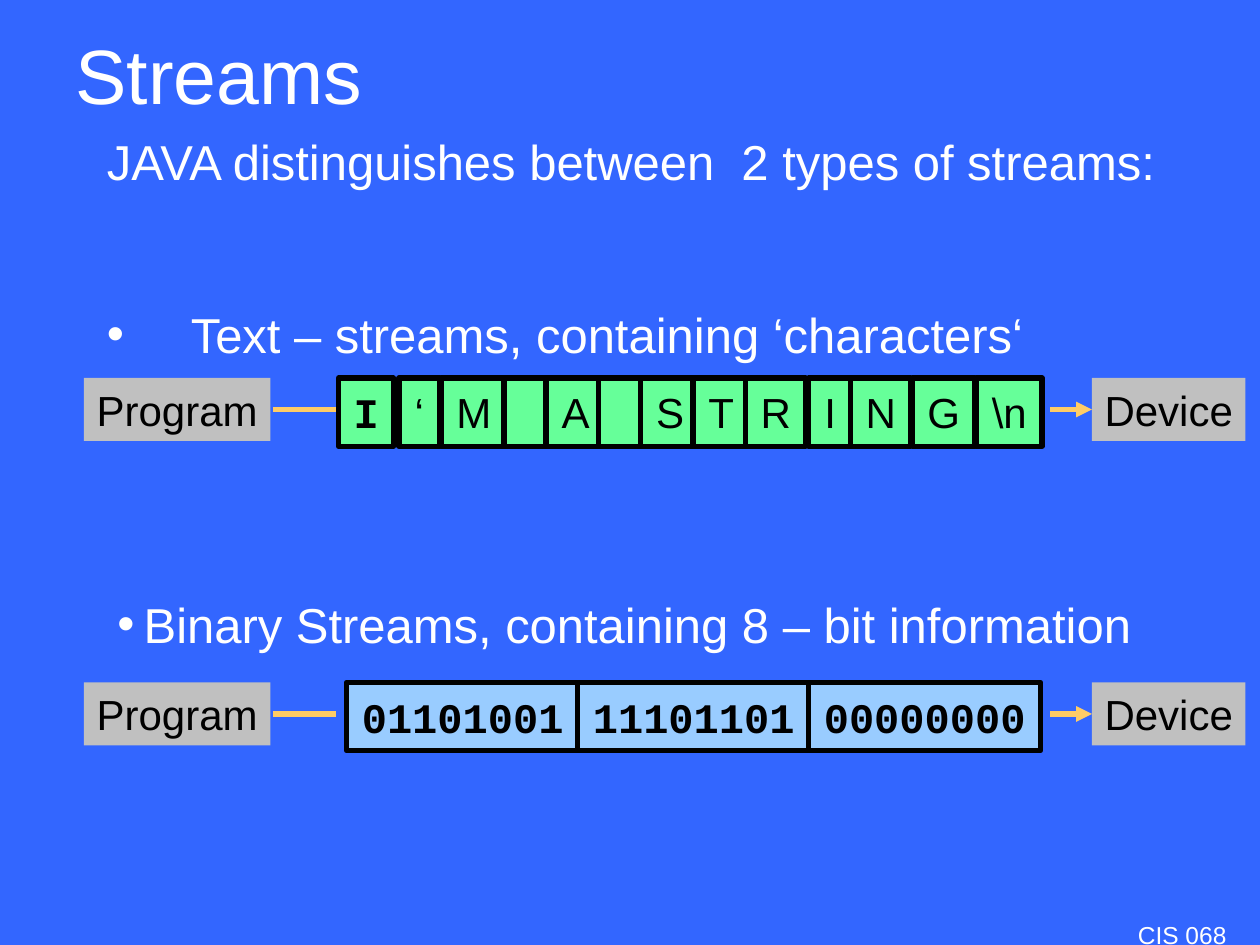
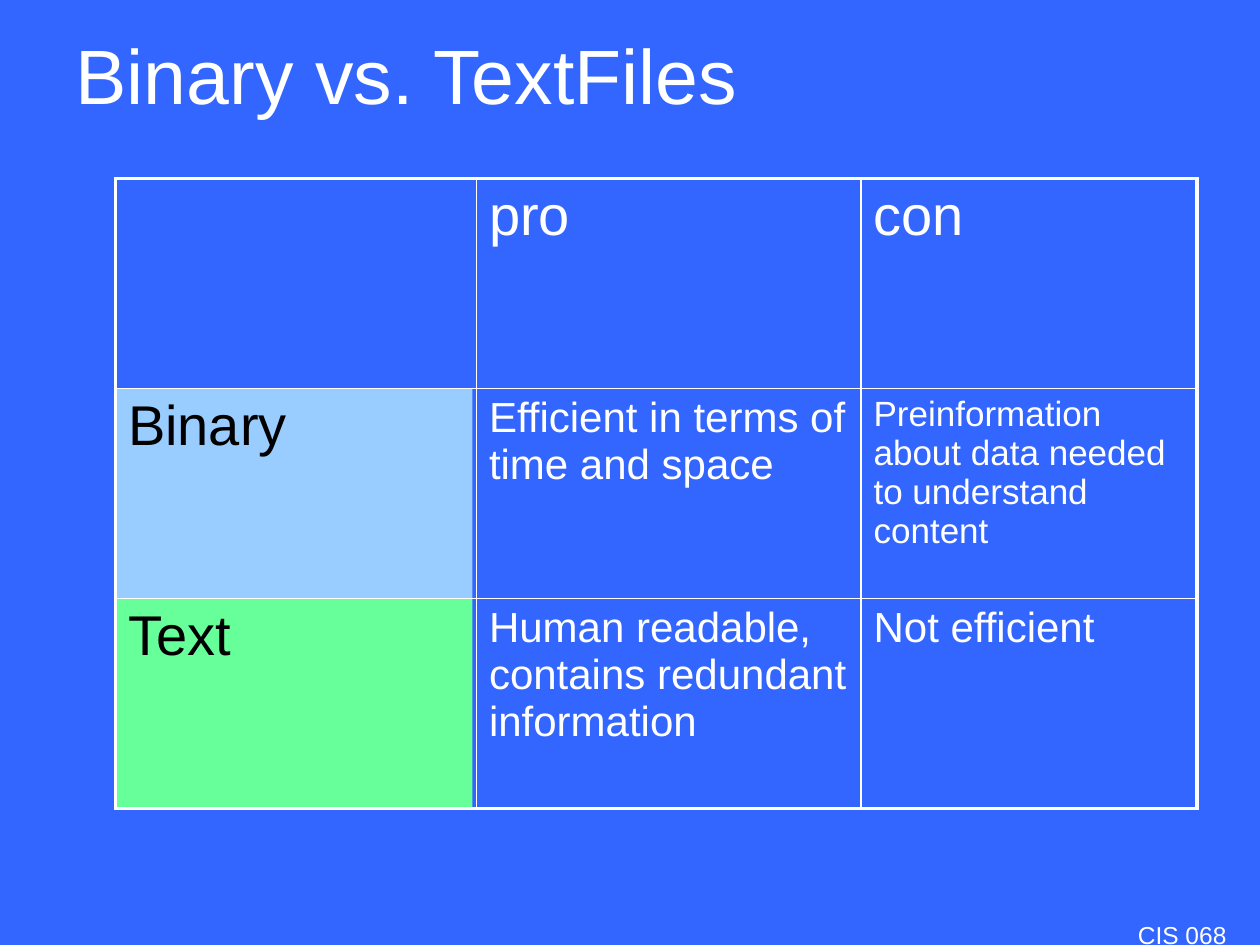
from lxml import etree
from pptx import Presentation
from pptx.dml.color import RGBColor
from pptx.enum import shapes, text
from pptx.oxml import ns
from pptx.util import Pt

PX = 9525  # EMU per px, 96 px to the inch
BLUE, WHITE, BLACK, GRAY = "3366FF", "FFFFFF", "000000", "C0C0C0"
GREEN, SKY, GOLD = "66FF99", "99CCFF", "FFCC66"
LEFT, CENTER, RIGHT = text.PP_ALIGN.LEFT, text.PP_ALIGN.CENTER, text.PP_ALIGN.RIGHT
MONO = {"name": "Courier New", "bold": True}
rgb = RGBColor.from_string


def write(p, words, size, color, font=None, **para):
    """Add one run to a paragraph and set its font and paragraph formats."""
    r = p.add_run()
    r.text = words
    for key, value in {"name": "Arial", "size": Pt(size), **(font or {})}.items():
        setattr(r.font, key, value)
    r.font.color.rgb = rgb(color)
    for key, value in para.items():
        setattr(p, key, value)


def box(s, rect, fill, words="", outlined=False, font=None):
    """Draw a filled rectangle with an optional centred label."""
    sp = s.shapes.add_shape(shapes.MSO_SHAPE.RECTANGLE, *[v * PX for v in rect])
    sp.shadow.inherit = False
    sp.fill.solid()
    sp.fill.fore_color.rgb = rgb(fill)
    if outlined:
        sp.line.color.rgb = rgb(BLACK)
        sp.line.width = Pt(3)
    else:
        sp.line.fill.background()
    if words:
        tf = sp.text_frame
        tf.word_wrap = False
        tf.vertical_anchor = text.MSO_ANCHOR.MIDDLE
        write(tf.paragraphs[0], words, 24, BLACK, font,
              alignment=CENTER, space_before=Pt(2))


prs = Presentation()
prs.slide_width, prs.slide_height = 960 * PX, 720 * PX
bg = prs.slide_master.background.fill
bg.solid()
bg.fore_color.rgb = rgb(BLUE)

# Title and footer of every slide
slides = []
for title, width in [("Streams", 768), ("Binary vs. TextFiles", 912)]:
    s = prs.slides.add_slide(prs.slide_layouts[5])
    slides.append(s)
    sp = s.shapes.title
    for key, value in {"left": 48, "top": 16, "width": width, "height": 80}.items():
        setattr(sp, key, value * PX)
    sp.text_frame.vertical_anchor = text.MSO_ANCHOR.MIDDLE
    write(sp.text_frame.paragraphs[0], title, 44, WHITE, alignment=LEFT)
    footer = s.shapes.add_textbox(640 * PX, 696 * PX, 304 * PX, 24 * PX).text_frame
    footer.word_wrap = True
    write(footer.paragraphs[0], "CIS 068", 14, WHITE, alignment=RIGHT)
streams, files = slides

# Streams: introduction and the two bullet lines
body = streams.shapes.add_textbox(72 * PX, 104 * PX, 872 * PX, 192 * PX).text_frame
binary = streams.shapes.add_textbox(80 * PX, 448 * PX, 822 * PX, 55 * PX).text_frame
body.word_wrap = binary.word_wrap = True
write(body.paragraphs[0], "JAVA distinguishes between  2 types of streams:", 28, WHITE,
      line_spacing=0.8, space_before=Pt(3))
text_item, binary_item = body.add_paragraph(), binary.paragraphs[0]
write(text_item, "Text – streams, containing ‘characters‘", 28, WHITE,
      line_spacing=0.8, space_before=Pt(72))
write(binary_item, "Binary Streams, containing 8 – bit information", 28, WHITE,
      space_before=Pt(3))
for p, indent in [(text_item, 64), (binary_item, 20)]:
    pPr = p._p.get_or_add_pPr()
    pPr.set("marL", str(indent * PX))
    pPr.set("indent", str(-indent * PX))
    etree.SubElement(pPr, ns.qn("a:buFont")).set("typeface", "Arial")
    etree.SubElement(pPr, ns.qn("a:buChar")).set("char", "•")

# Streams: character cells as (label, left, width)
cells = [("I", 258, 42), ("‘", 304, 31), ("M", 336, 50), ("", 384, 33), ("A", 416, 45),
         ("", 456, 33), ("S", 488, 45), ("T", 528, 43), ("R", 568, 46), ("I", 616, 33),
         ("N", 648, 46), ("G", 695, 48), ("\\n", 744, 50)]
for i, (label, left, width) in enumerate(cells):
    box(streams, (left, 288, width, 52), GREEN, label, True, MONO if i == 0 else None)

# Streams: byte cells
for i, byte in enumerate(["01101001", "11101101", "00000000"]):
    box(streams, (264 + 176 * i, 520, 177, 52), SKY, byte, True, MONO)

# Streams: program and device at the ends of each row
for top in (288, 520):
    box(streams, (64, top, 142, 48), GRAY, "Program")
    box(streams, (832, top, 117, 48), GRAY, "Device")
    y = (top + 24) * PX
    for start, end, arrow in [(208, 256, False), (800, 832, True)]:
        line = streams.shapes.add_connector(shapes.MSO_CONNECTOR.STRAIGHT,
                                            start * PX, y, end * PX, y)
        line.line.color.rgb = rgb(GOLD)
        line.line.width = Pt(3)
        if arrow:
            etree.SubElement(line.line._ln, ns.qn("a:tailEnd")).set("type", "triangle")
        etree.SubElement(line._element.spPr, ns.qn("a:effectLst"))

# Files: coloured panels behind the row headings
for top, color in [(296, SKY), (456, GREEN)]:
    box(files, (88, top, 272, 160), color)

# Files: comparison table, each cell as (words, size, colour)
rows = [
    [("", 32, WHITE), ("pro", 32, WHITE), ("con", 32, WHITE)],
    [("Binary", 32, BLACK), ("Efficient in terms of time and space", 24, WHITE),
     ("Preinformation about data needed to understand content", 20, WHITE)],
    [("Text", 32, BLACK), ("Human readable, contains redundant information", 24, WHITE),
     ("Not efficient", 24, WHITE)],
]
table = files.shapes.add_table(3, 3, 88 * PX, 136 * PX, 824 * PX, 480 * PX).table
table.first_row = table.horz_banding = False
for column, width in zip(table.columns, (275, 293, 256)):
    column.width = width * PX
for i, row in enumerate(rows):
    table.rows[i].height = 160 * PX
    for j, (words, size, color) in enumerate(row):
        cell = table.cell(i, j)
        if words:
            write(cell.text_frame.paragraphs[0], words, size, color)
        # Thick outer edges, thin inner ones
        tcPr = cell._tc.get_or_add_tcPr()
        for side, outer in [("L", j == 0), ("R", j == 2), ("T", i == 0), ("B", i == 2)]:
            ln = etree.SubElement(tcPr, ns.qn("a:ln" + side))
            ln.set("w", str(Pt(2.25 if outer else 1)))
            fill = etree.SubElement(ln, ns.qn("a:solidFill"))
            etree.SubElement(fill, ns.qn("a:srgbClr")).set("val", WHITE)
        cell.fill.background()

prs.save("out.pptx")
